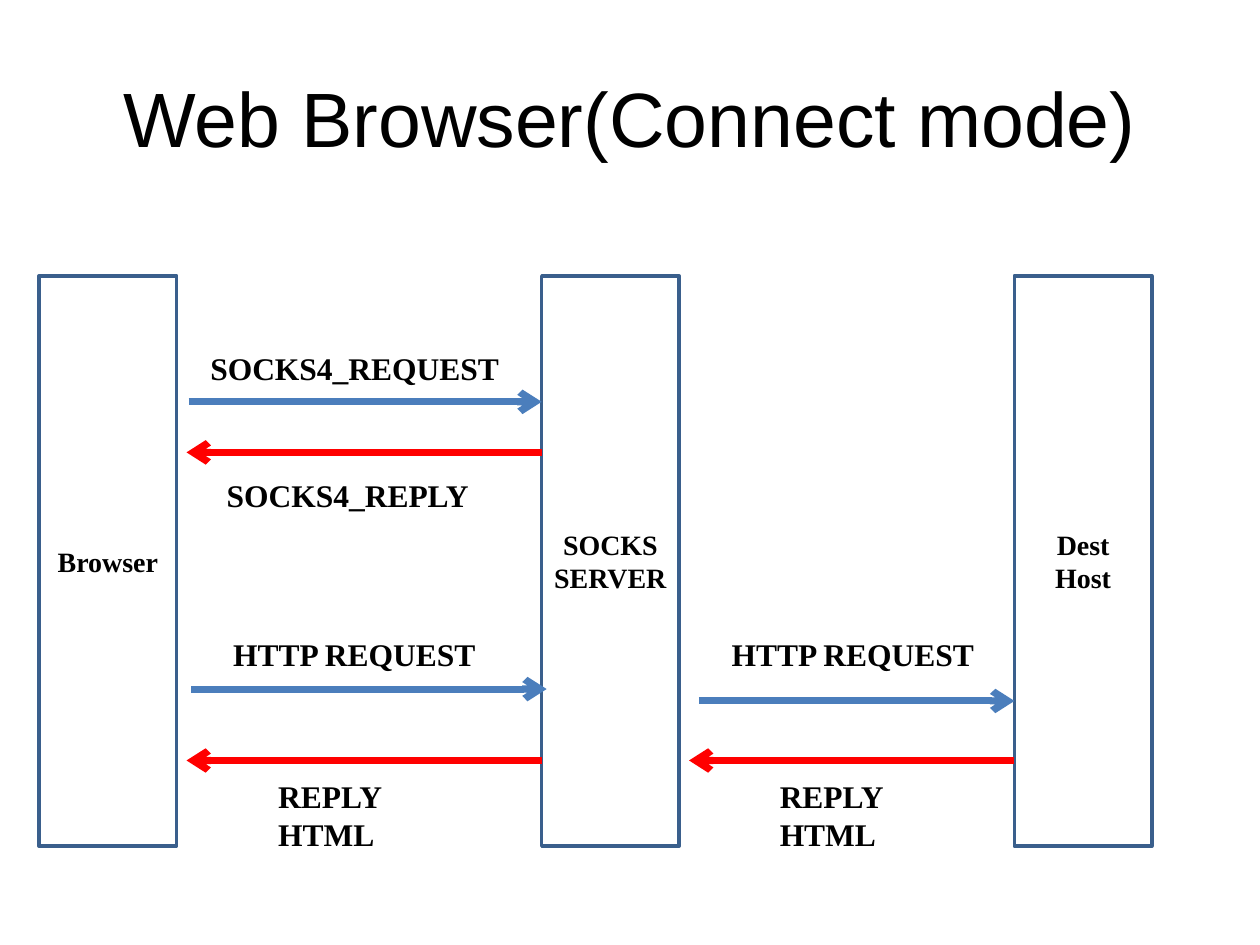
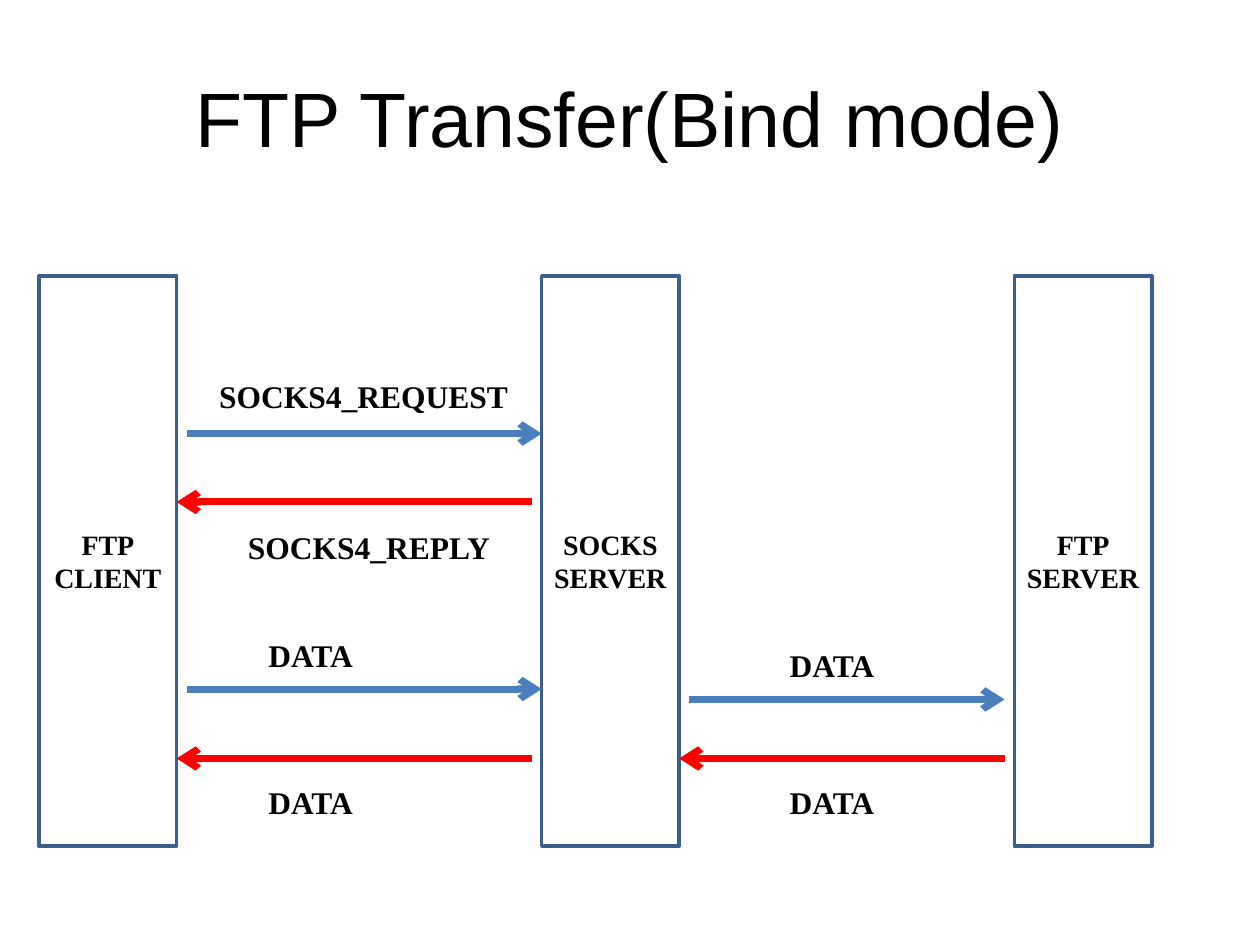
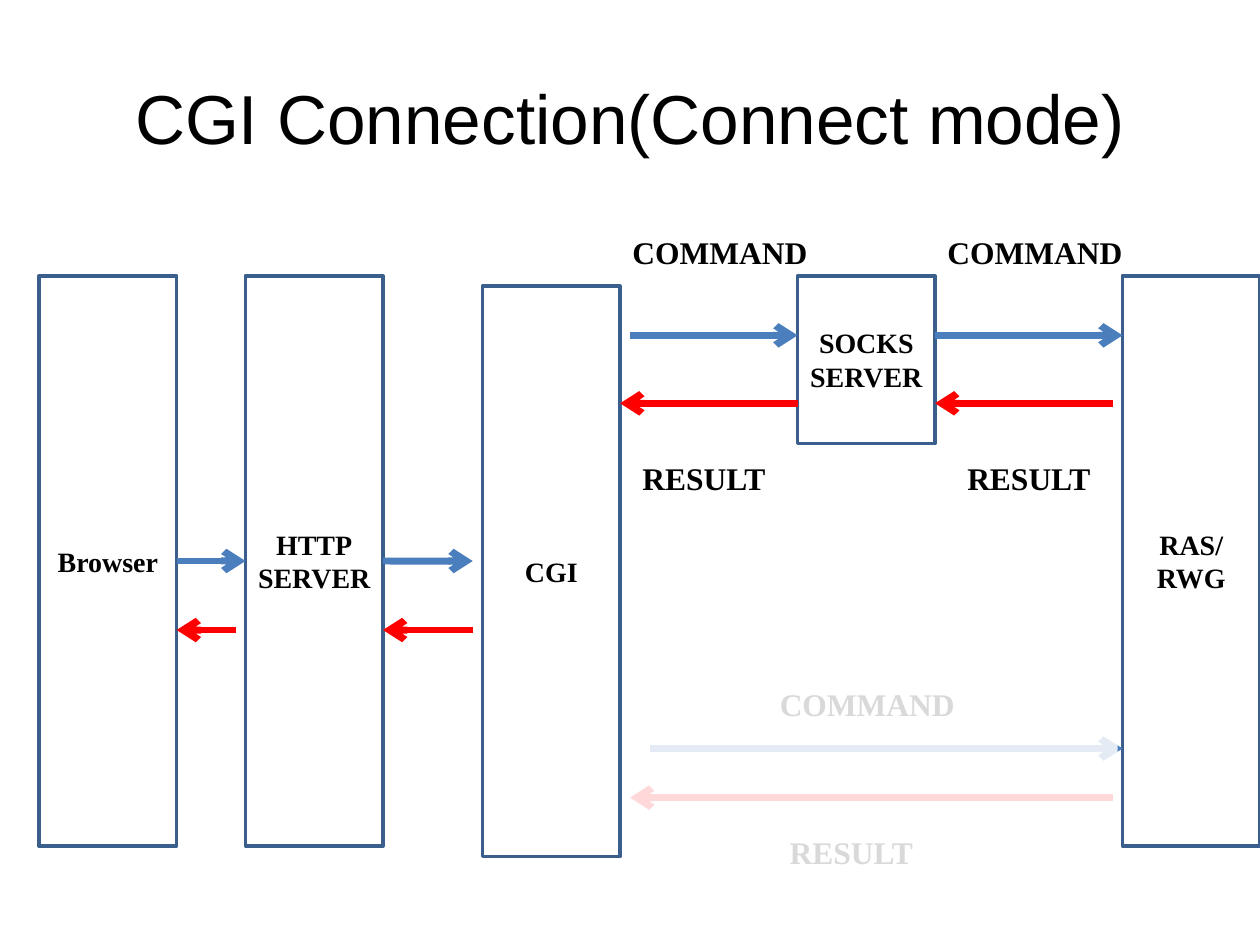
from lxml import etree
from pptx import Presentation
from pptx import util as u
from pptx.dml.color import RGBColor
from pptx.enum import shapes, text
from pptx.oxml.ns import qn

# All lengths are centimetres
COLORS = {"ink": "000000", "border": "3A5F8C", "request": "4B7EBC",
          "reply": "FF0000", "veil": "FFFFFF"}
TITLE_FONT, BODY_FONT = "Arial", "Times New Roman"
TITLE_AT = (1.27, 0.76, 22.86, 3.18)
BOX_W, BOX_TOP, BOX_H = 2.77, 5.56, 11.5
LEFT, MIDDLE, RIGHT = 0.79, 10.92, 20.45
GAP, LABEL_W, LINE_H = 0.2, 9.12, 0.78

# boxes: name -> (text, left, top, height)
# arrows: (from box, to box, y, gap at start, gap at end)
# labels: (text, left, top, width)
SLIDES = [
    {
        "title": ("Web Browser(Connect mode)", 44),
        "boxes": {
            "browser": ("Browser", LEFT, BOX_TOP, BOX_H),
            "host": ("Dest\nHost", RIGHT, BOX_TOP, BOX_H),
            "socks": ("SOCKS\nSERVER", MIDDLE, BOX_TOP, BOX_H),
        },
        "arrows": [
            ("browser", "socks", 8.1, 0.24, 0),
            ("socks", "browser", 9.12, 0, GAP),
            ("browser", "socks", 13.89, 0.3, -0.1),
            ("socks", "browser", 15.33, 0, GAP),
            ("socks", "host", 14.13, 0.4, 0),
            ("host", "socks", 15.33, 0, GAP),
        ],
        "labels": [
            ("SOCKS4_REQUEST", 3.99, 6.91, 7.29),
            ("SOCKS4_REPLY", 4.32, 9.47, 7.29),
            ("HTTP REQUEST", 4.45, 12.67, 5.46),
            ("HTTP REQUEST", 14.5, 12.67, LABEL_W),
            ("REPLY\nHTML", 5.36, 15.54, LABEL_W),
            ("REPLY\nHTML", 15.47, 15.54, LABEL_W),
        ],
    },
    {
        "title": ("FTP Transfer(Bind mode)", 44),
        "boxes": {
            "client": ("FTP\nCLIENT", LEFT, BOX_TOP, BOX_H),
            "server": ("FTP\nSERVER", RIGHT, BOX_TOP, BOX_H),
            "socks": ("SOCKS\nSERVER", MIDDLE, BOX_TOP, BOX_H),
        },
        "arrows": [
            ("client", "socks", 8.74, GAP, 0),
            ("socks", "client", 10.12, GAP, 0),
            ("client", "socks", 13.89, GAP, 0),
            ("socks", "client", 15.29, GAP, 0),
            ("socks", "server", 14.1, GAP, GAP),
            ("server", "socks", 15.29, GAP, 0),
        ],
        "labels": [
            ("SOCKS4_REQUEST", 4.17, 7.47, 7.44),
            ("SOCKS4_REPLY", 4.75, 10.52, LABEL_W),
            ("DATA", 5.16, 12.7, LABEL_W),
            ("DATA", 15.67, 12.9, LABEL_W),
            ("DATA", 5.16, 15.67, LABEL_W),
            ("DATA", 15.67, 15.67, LABEL_W),
        ],
    },
    {
        "title": ("CGI Connection(Connect mode)", 39.6),
        "boxes": {
            "browser": ("Browser", LEFT, BOX_TOP, BOX_H),
            "http": ("HTTP\nSERVER", 4.95, BOX_TOP, BOX_H),
            "cgi": ("CGI", 9.73, 5.77, BOX_H),
            "ras": ("RAS/\nRWG", 22.63, BOX_TOP, BOX_H),
            "socks": ("SOCKS\nSERVER", 16.08, BOX_TOP, 3.38),
        },
        "arrows": [
            ("browser", "http", 11.31, 0, 0),
            ("http", "browser", 12.7, GAP, 0),
            ("http", "cgi", 11.31, 0, GAP),
            ("cgi", "http", 12.7, GAP, 0),
            ("cgi", "socks", 6.76, GAP, 0),
            ("socks", "cgi", 8.13, 0, 0),
            ("socks", "ras", 6.76, 0, 0),
            ("ras", "socks", 8.13, GAP, 0),
            ("cgi", "ras", 15.09, 0.6, 0),
            ("ras", "cgi", 16.08, GAP, GAP),
        ],
        "labels": [
            ("COMMAND", 12.5, 4.57, LABEL_W),
            ("COMMAND", 18.85, 4.57, LABEL_W),
            ("COMMAND", 15.47, 13.69, 4.17),
            ("RESULT", 12.7, 9.12, LABEL_W),
            ("RESULT", 19.25, 9.12, LABEL_W),
            ("RESULT", 15.67, 16.66, LABEL_W),
        ],
        "veil": (12.6, 11.33, 9.93, 6.78),
    },
]


def rgb(name):
    return RGBColor.from_string(COLORS[name])


def cm(*lengths):
    return [u.Cm(n) for n in lengths]


def write(tf, content, size, align, font=BODY_FONT, bold=True):
    for i, line in enumerate(content.split("\n")):
        p = tf.paragraphs[0] if i == 0 else tf.add_paragraph()
        p.alignment = align
        r = p.add_run()
        r.text = line
        r.font.name, r.font.size, r.font.bold = font, u.Pt(size), bold
        r.font.color.rgb = rgb("ink")


def add_title(s, content, size):
    sp = s.shapes.title
    sp.left, sp.top, sp.width, sp.height = cm(*TITLE_AT)
    tf = sp.text_frame
    tf.auto_size = text.MSO_AUTO_SIZE.NONE
    tf.vertical_anchor = text.MSO_ANCHOR.MIDDLE
    write(tf, content, size, text.PP_ALIGN.CENTER, TITLE_FONT, False)


def add_rect(s, *at):
    sp = s.shapes.add_shape(shapes.MSO_SHAPE.RECTANGLE, *cm(*at))
    sp.shadow.inherit = False
    return sp


def add_box(s, content, left, top, height):
    sp = add_rect(s, left, top, BOX_W, height)
    sp.fill.background()
    sp.line.color.rgb = rgb("border")
    sp.line.width = u.Pt(2)
    tf = sp.text_frame
    tf.margin_left = tf.margin_right = 0
    tf.vertical_anchor = text.MSO_ANCHOR.MIDDLE
    write(tf, content, 16, text.PP_ALIGN.CENTER)
    return sp


def add_arrow(s, boxes, drawn, start, end, y, start_gap, end_gap):
    # Requests run to the right, replies to the left
    way = 1 if boxes[start][1] < boxes[end][1] else -1
    out_side, in_side = (3, 1) if way == 1 else (1, 3)
    x1 = boxes[start][1] + (BOX_W if way == 1 else 0) + way * start_gap
    x2 = boxes[end][1] + (0 if way == 1 else BOX_W) - way * end_gap
    c = s.shapes.add_connector(shapes.MSO_CONNECTOR.STRAIGHT, *cm(x1, y, x2, y))

    def at_middle(name, gap):
        _, _, top, height = boxes[name]
        return gap == 0 and abs(top + height / 2 - y) < 0.01

    if at_middle(start, start_gap):
        c.begin_connect(drawn[start], out_side)
    if at_middle(end, end_gap):
        c.end_connect(drawn[end], in_side)
    c.line.color.rgb = rgb("request" if way == 1 else "reply")
    c.line.width = u.Pt(4)
    etree.SubElement(c.line._get_or_add_ln(), qn("a:tailEnd"), type="arrow")
    etree.SubElement(c._element.spPr, qn("a:effectLst"))


def add_label(s, content, left, top, width):
    height = 0.25 + LINE_H * len(content.split("\n"))
    tf = s.shapes.add_textbox(*cm(left, top, width, height)).text_frame
    tf.word_wrap = True
    tf.auto_size = text.MSO_AUTO_SIZE.SHAPE_TO_FIT_TEXT
    write(tf, content, 18, text.PP_ALIGN.LEFT)


def add_veil(s, at):
    sp = add_rect(s, *at)
    sp.fill.solid()
    sp.fill.fore_color.rgb = rgb("veil")
    sp.line.fill.background()
    color = sp._element.spPr.find(qn("a:solidFill"))[0]
    etree.SubElement(color, qn("a:alpha"), val="85000")


def main():
    prs = Presentation()
    prs.slide_width, prs.slide_height = cm(25.4, 19.05)
    for page in SLIDES:
        s = prs.slides.add_slide(prs.slide_layouts[5])
        add_title(s, *page["title"])
        boxes = page["boxes"]
        drawn = {name: add_box(s, *box) for name, box in boxes.items()}
        for arrow in page["arrows"]:
            add_arrow(s, boxes, drawn, *arrow)
        for label in page["labels"]:
            add_label(s, *label)
        # A translucent sheet fades the direct route
        if "veil" in page:
            add_veil(s, page["veil"])
    prs.save("out.pptx")


if __name__ == "__main__":
    main()
